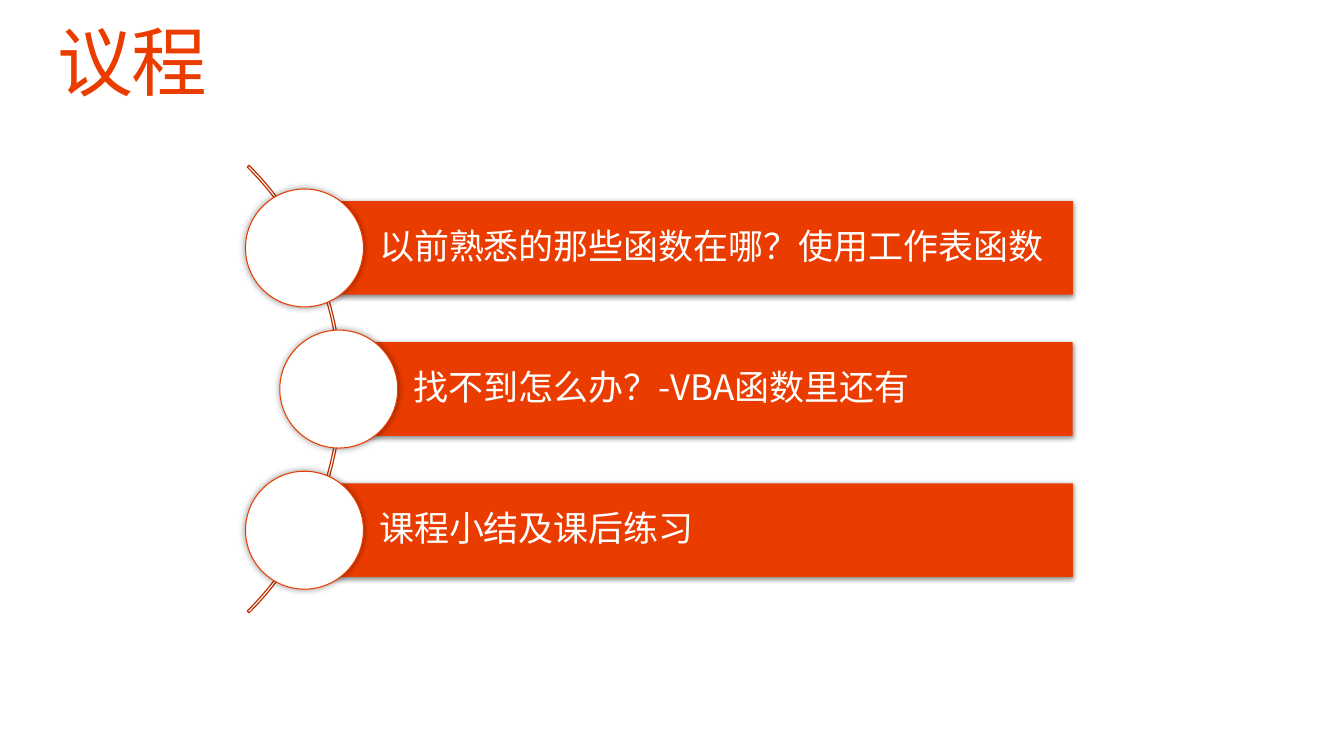
from dataclasses import dataclass

from lxml.etree import SubElement as Sub
from pptx import Presentation
from pptx.dml.color import RGBColor as RGB
from pptx.enum.shapes import MSO_SHAPE as Shape
from pptx.enum.text import MSO_ANCHOR as Anchor, MSO_AUTO_SIZE as Fit, PP_ALIGN as Align
from pptx.oxml.ns import qn
from pptx.util import Inches, Pt


@dataclass(frozen=True)
class Theme:
    main: str = "EB3C00"
    dark: str = "BC3000"
    white: str = "FFFFFF"
    black: str = "000000"
    latin: str = "Cabin"
    asian: str = "Noto Sans CJK SC"
    head: int = 54
    body: int = 25


def write(shape, text, font, asian, size, color, pad=(0, 0, 0, 0),
          anchor=Anchor.TOP, track=None):
    """Fill a shape with one formatted, left-aligned line."""
    frame = shape.text_frame
    frame.word_wrap = True
    frame.auto_size = Fit.NONE
    frame.vertical_anchor = anchor
    (frame.margin_left, frame.margin_top,
     frame.margin_right, frame.margin_bottom) = map(Inches, pad)
    para = frame.paragraphs[0]
    para.alignment = Align.LEFT
    para.line_spacing = 0.9
    run = para.add_run()
    run.text = text
    run.font.name = font
    run.font.size = Pt(size)
    run.font.color.rgb = RGB.from_string(color)
    props = run.font._element
    props.set("lang", "zh-CN")
    Sub(props, qn("a:ea"), typeface=asian)
    if track is not None:
        props.set("spc", str(track * 100))


class Page:
    def __init__(self, deck, theme):
        self.theme = theme
        self.slide = deck.slides.add_slide(deck.slide_layouts[5])

    def title(self, text, box):
        t = self.theme
        head = self.slide.shapes.title
        head.left, head.top, head.width, head.height = map(Inches, box)
        write(head, text, t.latin, t.asian, t.head, t.main, track=-1)

    def shape(self, kind, box, fill=None, line=None, width=0.75, shadow=None):
        item = self.slide.shapes.add_shape(kind, *map(Inches, box))
        if fill:
            item.fill.solid()
            item.fill.fore_color.rgb = RGB.from_string(fill)
        else:
            item.fill.background()
        if line:
            item.line.color.rgb = RGB.from_string(line)
            item.line.width = Pt(width)
        else:
            item.line.fill.background()
        item.shadow.inherit = False
        if shadow:
            self.shade(item, *shadow)
        return item

    def shade(self, item, alpha, blur, dist, angle):
        effects = item._element.spPr.find(qn("a:effectLst"))
        outer = Sub(effects, qn("a:outerShdw"), blurRad=str(Pt(blur)),
                    dist=str(Pt(dist)), dir=str(angle * 60000),
                    algn="ctr", rotWithShape="0")
        color = Sub(outer, qn("a:srgbClr"), val=self.theme.black)
        Sub(color, qn("a:alpha"), val=str(alpha * 1000))

    def arc(self, box, start, end, thick):
        item = self.shape(Shape.BLOCK_ARC, box, line=self.theme.dark, width=0.85)
        for i, value in enumerate((start, end, thick)):
            item.adjustments[i] = value

    def bar(self, text, box):
        t = self.theme
        item = self.shape(Shape.RECTANGLE, box, fill=t.main,
                          shadow=(45, 3.5, 1.1, 90))
        write(item, text, t.asian, t.asian, t.body, t.white,
              pad=(0.74, 0.07, 0.07, 0.07), anchor=Anchor.MIDDLE)

    def dot(self, x, y, size):
        self.shape(Shape.OVAL, (x - size / 2, y - size / 2, size, size),
                   fill=self.theme.white, line=self.theme.main,
                   shadow=(40, 5, 0, 0))


deck = Presentation()
deck.slide_width, deck.slide_height = Inches(13.33), Inches(7.5)
page = Page(deck, Theme())

# Title
page.title("议程", (0.57, 0.25, 12.19, 0.82))

# Curve behind the agenda: 315 to 45 degrees
page.arc((-2.89, 0.72, 6.28, 6.28), 189, 27, 0.004)

# Agenda rows: each bar starts at the centre of its dot
RIGHT, MID, STEP, TALL, DOT = 10.64, 3.86, 1.4, 0.93, 1.17
rows = [
    (3.02, "以前熟悉的那些函数在哪？使用工作表函数"),
    (3.36, "找不到怎么办？-VBA函数里还有"),
    (3.02, "课程小结及课后练习"),
]
for i, (left, text) in enumerate(rows):
    y = MID + (i - 1) * STEP
    page.bar(text, (left, y - TALL / 2, RIGHT - left, TALL))
    page.dot(left, y, DOT)

deck.save("out.pptx")
